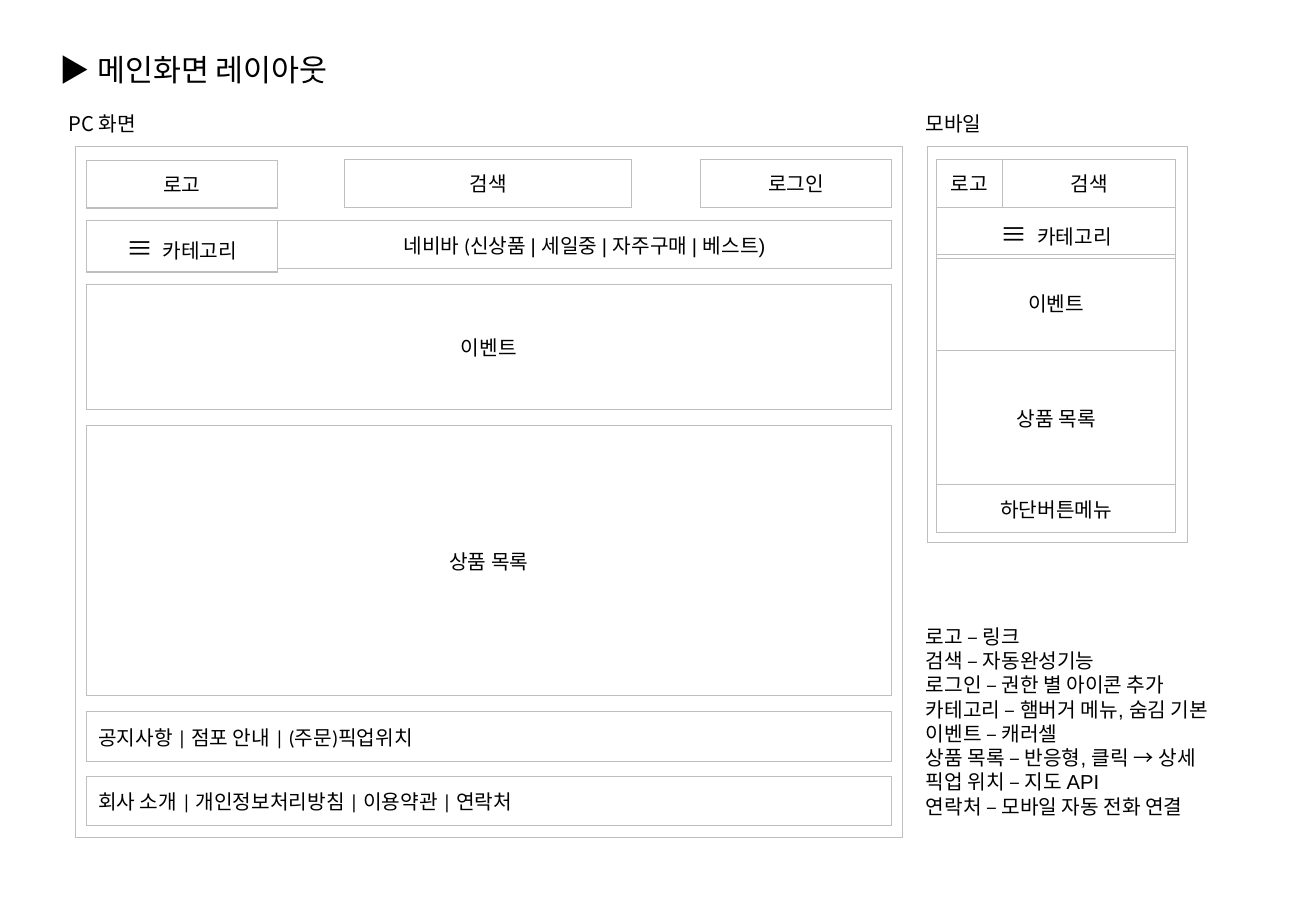
from itertools import accumulate

from lxml import etree
from pptx import Presentation
from pptx.dml.color import RGBColor
from pptx.enum.text import MSO_ANCHOR, MSO_AUTO_SIZE, PP_ALIGN
from pptx.oxml.ns import qn
from pptx.util import Cm, Pt

LEFT, CENTER = PP_ALIGN.LEFT, PP_ALIGN.CENTER
TOP, MIDDLE = MSO_ANCHOR.TOP, MSO_ANCHOR.MIDDLE
NO_FIT = MSO_AUTO_SIZE.NONE

COLORS = {"text": "000000", "border": "BFBFBF"}
KOREAN = "Noto Sans CJK KR"

PC_X, PC_W, SIDE_W = 1.8, 16.84, 4.0
MOBILE_X, MOBILE_W, MOBILE_LOGO_W = 19.58, 5.0, 1.37
TOP_Y, BAR_H = 3.33, 1.0
FOOTER_H = 1.04

MENU = [("≡", {"size": 16, "spacing": 3}), (" 카테고리", {})]
NAVIGATION = [("네비바 (", {}),
              ("신상품 | 세일중 | 자주구매 | 베스트)", {"font": "Arial"})]
NOTES = [
    "로고 – 링크",
    "검색 – 자동완성기능",
    "로그인 – 권한 별 아이콘 추가",
    "카테고리 – 햄버거 메뉴, 숨김 기본",
    "이벤트 – 캐러셀",
    "상품 목록 – 반응형, 클릭 → 상세",
    "픽업 위치 – 지도 API",
    "연락처 – 모바일 자동 전화 연결",
]


def add_text(p, text, size=12, font="Calibri", spacing=0, align=LEFT):
    p.alignment = align
    r = p.add_run()
    r.text = text
    r.font.size = Pt(size)
    r.font.name = font
    r.font.color.rgb = RGBColor.from_string(COLORS["text"])
    rPr = r.font._element
    if spacing:
        rPr.set("spc", str(spacing * 100))
    rPr.find(qn("a:latin")).addnext(
        etree.Element(qn("a:ea"), typeface=KOREAN))


def place(sp, x, y, w, h):
    sp.left, sp.top, sp.width, sp.height = Cm(x), Cm(y), Cm(w), Cm(h)
    tf = sp.text_frame
    tf.word_wrap = True
    tf.auto_size = NO_FIT
    tf.vertical_anchor = TOP
    return tf


def add_label(s, text, x, y, w, h, font):
    tf = place(s.shapes.add_textbox(0, 0, 0, 0), x, y, w, h)
    add_text(tf.paragraphs[0], text, font=font)


def add_borders(cell):
    tcPr = cell._tc.get_or_add_tcPr()
    for side in ("lnL", "lnR", "lnT", "lnB"):
        ln = etree.SubElement(tcPr, qn(f"a:{side}"), w=str(Pt(0.75)))
        fill = etree.SubElement(ln, qn("a:solidFill"))
        etree.SubElement(fill, qn("a:srgbClr"), val=COLORS["border"])


def add_panel(s, content, x, y, w, h, align=CENTER):
    """Draw a one-cell table; content is a string or a list of (text, format)."""
    table = s.shapes.add_table(1, 1, Cm(x), Cm(y), Cm(w), Cm(h)).table
    table.first_row = table.horz_banding = False
    cell = table.cell(0, 0)
    add_borders(cell)
    cell.fill.background()
    cell.vertical_anchor = MIDDLE
    runs = [(content, {})] if isinstance(content, str) else content
    for text, fmt in runs:
        add_text(cell.text_frame.paragraphs[0], text, align=align, **fmt)


def add_pc_screen(s):
    add_label(s, "PC 화면", 1.18, 2.2, 5, 0.9, KOREAN)
    add_panel(s, [], 1.57, 3.07, 17.3, 14.45)
    add_panel(s, "로고", PC_X, 3.35, SIDE_W, BAR_H)
    add_panel(s, "검색", 7.21, TOP_Y, 6, BAR_H)
    add_panel(s, "로그인", PC_X + PC_W - SIDE_W, TOP_Y, SIDE_W, BAR_H)
    add_panel(s, MENU, PC_X, 4.62, SIDE_W, BAR_H)
    add_panel(s, NAVIGATION, PC_X + SIDE_W, 4.62, PC_W - SIDE_W, BAR_H)
    add_panel(s, "이벤트", PC_X, 5.94, PC_W, 2.62)
    add_panel(s, "상품 목록", PC_X, 8.89, PC_W, 5.66)
    add_panel(s, "공지사항 | 점포 안내 | (주문)픽업위치",
              PC_X, 14.88, PC_W, FOOTER_H, LEFT)
    add_panel(s, "회사 소개 | 개인정보처리방침 | 이용약관 | 연락처",
              PC_X, 16.23, PC_W, FOOTER_H, LEFT)


def add_mobile_screen(s):
    add_label(s, "모바일", 19.1, 2.2, 5, 0.9, "Arial")
    add_panel(s, [], 19.38, 3.07, 5.44, 8.28)
    add_panel(s, "로고", MOBILE_X, TOP_Y, MOBILE_LOGO_W, BAR_H)
    add_panel(s, "검색", MOBILE_X + MOBILE_LOGO_W, TOP_Y,
              MOBILE_W - MOBILE_LOGO_W, BAR_H)
    names = [MENU, "이벤트", "상품 목록", "하단버튼메뉴"]
    heights = [BAR_H, 2.0, 2.81, BAR_H]
    tops = accumulate(heights, initial=TOP_Y + BAR_H)
    for name, y, h in zip(names, tops, heights):
        add_panel(s, name, MOBILE_X, y, MOBILE_W, h)


def add_notes_list(sp):
    tf = place(sp, 19.1, 12.92, 7.42, 4.5)
    for i, note in enumerate(NOTES):
        p = tf.add_paragraph() if i else tf.paragraphs[0]
        add_text(p, note, font="Arial")
        p.space_before = Pt(0)
        p.line_spacing = Pt(14.4)
        pPr = p._p.get_or_add_pPr()
        pPr.set("marL", "0")
        pPr.set("indent", "0")
        etree.SubElement(pPr, qn("a:buNone"))


def main():
    prs = Presentation()
    prs.slide_width, prs.slide_height = Cm(27.51), Cm(19.05)
    s = prs.slides.add_slide(prs.slide_layouts[1])
    title, body = s.placeholders
    tf = place(title, 1, 0.95, 17, 1.2)
    add_text(tf.paragraphs[0], "▶ 메인화면 레이아웃", size=18, font="Arial")
    add_pc_screen(s)
    add_mobile_screen(s)
    add_notes_list(body)
    prs.save("out.pptx")


if __name__ == "__main__":
    main()
